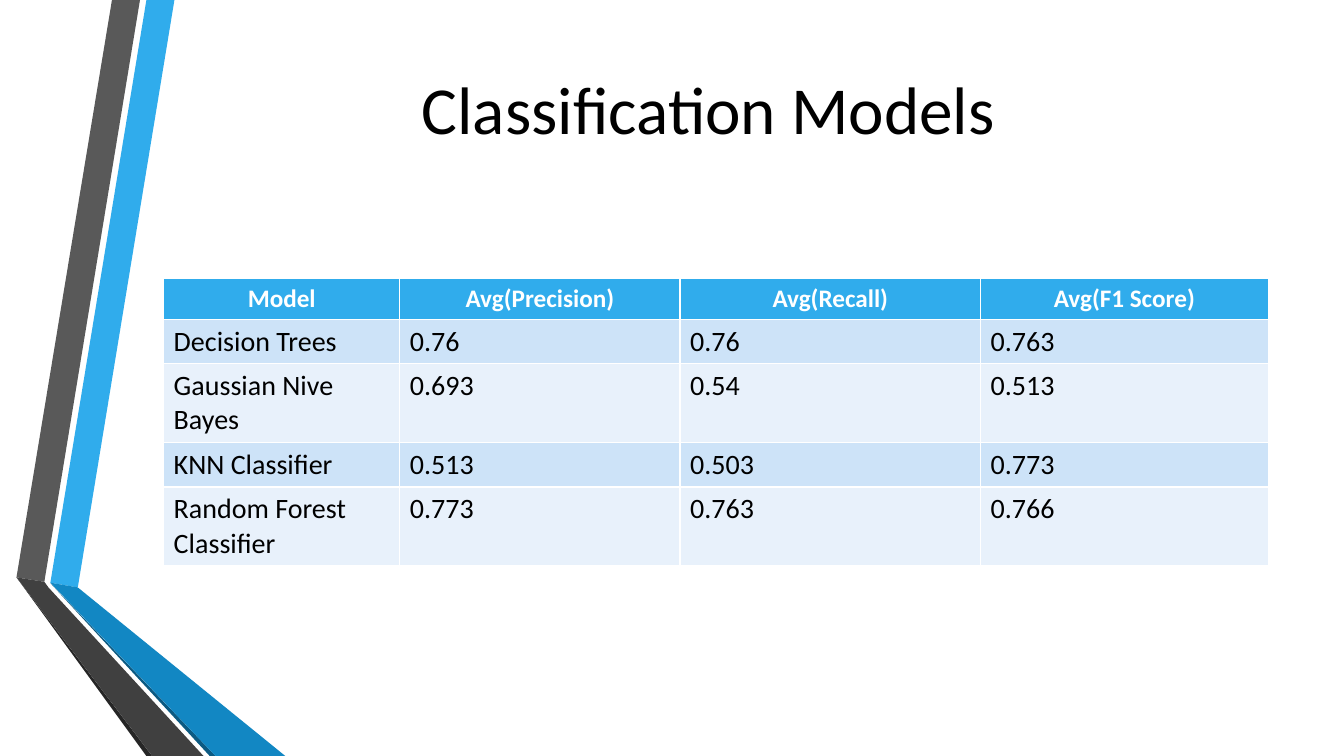
from dataclasses import dataclass

from pptx import Presentation
from pptx import util as u
from pptx.dml.color import RGBColor
from pptx.enum import text


@dataclass(frozen=True)
class Theme:
    font: str = "Calibri"
    title_size: float = 48
    header_size: float = 18
    body_size: float = 20
    ink: str = "000000"
    paper: str = "FFFFFF"
    blue: str = "30ACEC"
    blue_fold: str = "1287C3"
    blue_edge: str = "0C5A82"
    gray: str = "595959"
    gray_fold: str = "404040"
    gray_edge: str = "262626"
    bands: tuple = ("CDE3F8", "E8F1FB")


class SlideBuilder:
    def __init__(self, slide, theme):
        self.slide = slide
        self.theme = theme

    def paint(self, fill, color):
        fill.solid()
        fill.fore_color.rgb = RGBColor.from_string(color)

    def style(self, paragraph, size, color, bold=False, align=text.PP_ALIGN.LEFT):
        paragraph.alignment = align
        for run in paragraph.runs:
            run.font.name = self.theme.font
            run.font.size = u.Pt(size)
            run.font.bold = bold
            run.font.color.rgb = RGBColor.from_string(color)

    def ribbon(self, color, points):
        start, *rest = [(u.Pt(x), u.Pt(y)) for x, y in points]
        outline = self.slide.shapes.build_freeform(*start)
        outline.add_line_segments(rest, close=True)
        face = outline.convert_to_shape()
        face.shadow.inherit = False
        self.paint(face.fill, color)
        face.line.fill.background()

    def title(self, words, left, top, width, height):
        heading = self.slide.shapes.title
        heading.left, heading.top = u.Pt(left), u.Pt(top)
        heading.width, heading.height = u.Pt(width), u.Pt(height)
        heading.text_frame.text = words
        heading.text_frame.vertical_anchor = text.MSO_ANCHOR.MIDDLE
        self.style(heading.text_frame.paragraphs[0], self.theme.title_size,
                   self.theme.ink, align=text.PP_ALIGN.CENTER)

    def table(self, rows, left, top, widths, heights):
        scores = self.slide.shapes.add_table(
            len(rows), len(widths), u.Pt(left), u.Pt(top),
            u.Pt(sum(widths)), u.Pt(sum(heights))).table
        for column, width in zip(scores.columns, widths):
            column.width = u.Pt(width)
        for r, (values, height) in enumerate(zip(rows, heights)):
            scores.rows[r].height = u.Pt(height)
            for c, value in enumerate(values):
                cell = scores.cell(r, c)
                cell.text_frame.text = value
                paragraph = cell.text_frame.paragraphs[0]
                if r == 0:
                    self.paint(cell.fill, self.theme.blue)
                    self.style(paragraph, self.theme.header_size, self.theme.paper,
                               bold=True, align=text.PP_ALIGN.CENTER)
                else:
                    self.paint(cell.fill, self.theme.bands[(r - 1) % 2])
                    self.style(paragraph, self.theme.body_size, self.theme.ink)


def main():
    deck = Presentation()
    deck.slide_width, deck.slide_height = u.Pt(960), u.Pt(540)
    theme = Theme()
    builder = SlideBuilder(deck.slides.add_slide(deck.slide_layouts[5]), theme)

    # Folded ribbons on the left edge
    builder.ribbon(theme.blue, [(36, 416.2), (55.6, 419.6), (124.6, 0), (104.6, 0)])
    builder.ribbon(theme.gray, [(100, 0), (80, 0), (11.8, 412.4), (31.7, 415.6)])
    builder.ribbon(theme.gray_edge, [(11.8, 412.4), (104.6, 540), (108.7, 540)])
    builder.ribbon(theme.blue_edge, [(36, 416.6), (149.8, 540), (154, 540)])
    builder.ribbon(theme.blue_fold,
                   [(36, 416.2), (154, 540), (203.8, 540), (55.6, 419.6)])
    builder.ribbon(theme.gray_fold,
                   [(11.8, 412.4), (108.7, 540), (145.4, 540), (34.6, 419.6), (31.7, 415.6)])

    # Title
    content_left = 116.9
    builder.title("Classification Models ", content_left, 27.4, 789, 99.4)

    # Average scores per model
    model_scores = [
        ("Model", "Avg(Precision)", "Avg(Recall)", "Avg(F1 Score)"),
        ("Decision Trees", "0.76", "0.76", "0.763"),
        ("Gaussian Nive Bayes", "0.693", "0.54", "0.513"),
        ("KNN Classifier", "0.513", "0.503", "0.773"),
        ("Random Forest Classifier", "0.773", "0.763", "0.766"),
    ]
    one_line, two_lines = 31.4, 56
    builder.table(model_scores, content_left, 199,
                  widths=(168.7, 200.2, 214.7, 205.4),
                  heights=(29.2, one_line, two_lines, one_line, two_lines))

    deck.save("out.pptx")


if __name__ == "__main__":
    main()
